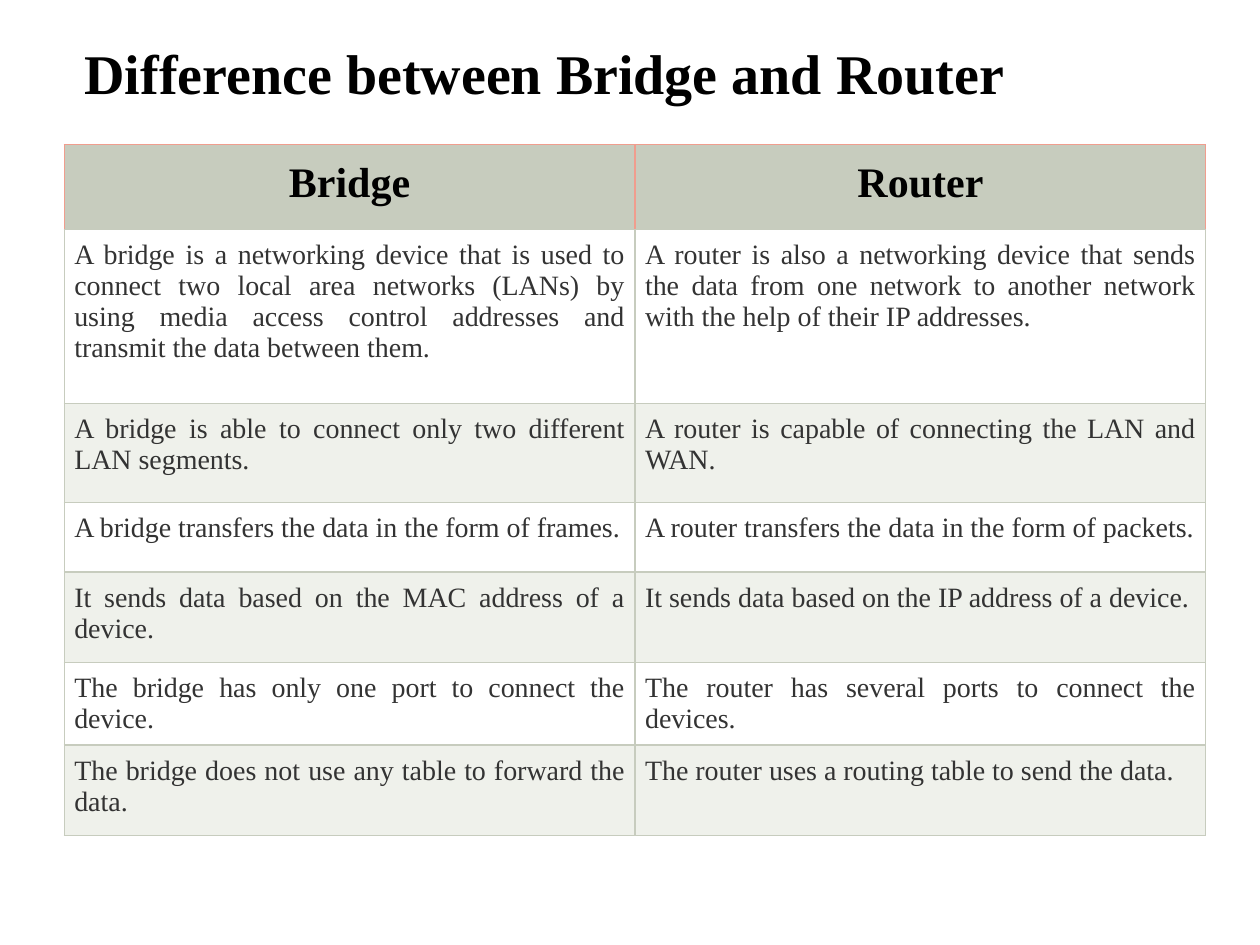
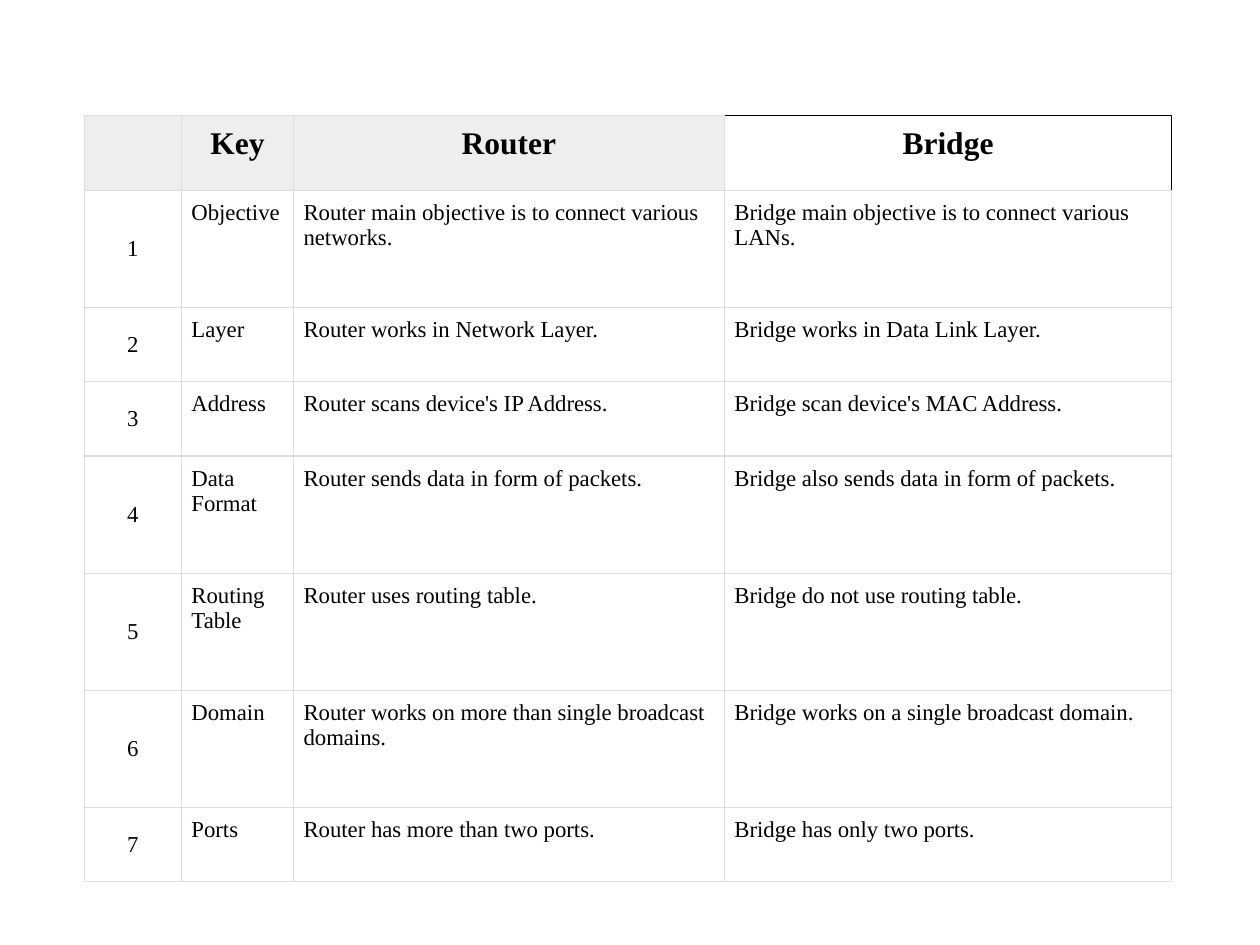
"""Build two slides of tables that compare bridges and routers."""
import pptx
import pptx.dml.color
import pptx.enum.text
import pptx.oxml
import pptx.oxml.ns
import pptx.util
from lxml import etree

Inches, Pt = pptx.util.Inches, pptx.util.Pt
RGBColor = pptx.dml.color.RGBColor
ALIGN, ANCHOR = pptx.enum.text.PP_ALIGN, pptx.enum.text.MSO_ANCHOR
qn = pptx.oxml.ns.qn

FONT = "Times New Roman"
BLACK = RGBColor(0x00, 0x00, 0x00)
WHITE = RGBColor(0xFF, 0xFF, 0xFF)
DARK_GREY = RGBColor(0x33, 0x33, 0x33)
SAGE = RGBColor(0xC7, 0xCC, 0xBE)
PALE_SAGE = RGBColor(0xEF, 0xF1, 0xEB)
CORAL = RGBColor(0xF0, 0x9D, 0x8E)
LINE_GREY = RGBColor(0xDD, 0xDD, 0xDD)
HEAD_GREY = RGBColor(0xEE, 0xEE, 0xEE)

DIFFERENCES = [
    ("Bridge", "Router"),
    ("A bridge is a networking device that is used to connect two local area networks (LANs) "
     "by using media access control addresses and transmit the data between them.",
     "A router is also a networking device that sends the data from one network to another "
     "network with the help of their IP addresses."),
    ("A bridge is able to connect only two different LAN segments.",
     "A router is capable of connecting the LAN and WAN."),
    ("A bridge transfers the data in the form of frames.",
     "A router transfers the data in the form of packets."),
    ("It sends data based on the MAC address of a device.",
     "It sends data based on the IP address of a device."),
    ("The bridge has only one port to connect the device.",
     "The router has several ports to connect the devices."),
    ("The bridge does not use any table to forward the data.",
     "The router uses a routing table to send the data."),
]
KEY_POINTS = [
    ("Objective", "Router main objective is to connect various networks.",
     "Bridge main objective is to connect various LANs."),
    ("Layer", "Router works in Network Layer.", "Bridge works in Data Link Layer."),
    ("Address", "Router scans device's IP Address.", "Bridge scan device's MAC Address."),
    ("Data Format", "Router sends data in form of packets.",
     "Bridge also sends data in form of packets."),
    ("Routing Table", "Router uses routing table.", "Bridge do not use routing table."),
    ("Domain", "Router works on more than single broadcast domains.",
     "Bridge works on a single broadcast domain."),
    ("Ports", "Router has more than two ports.", "Bridge has only two ports."),
]


def style_paragraph(p, size, color=BLACK, bold=False, align=ALIGN.LEFT):
    """Set the font and alignment of a paragraph."""
    p.alignment = align
    p.font.name, p.font.size, p.font.bold = FONT, Pt(size), bold
    p.font.color.rgb = color


def set_borders(cell, left, right, top, bottom, width=0.75):
    """Draw the four edges of a cell in the given colours."""
    tcPr = cell._tc.get_or_add_tcPr()
    for side, color in zip("LRTB", (left, right, top, bottom)):
        ln = etree.SubElement(tcPr, qn(f"a:ln{side}"), w=str(Pt(width)))
        fill = etree.SubElement(ln, qn("a:solidFill"))
        etree.SubElement(fill, qn("a:srgbClr"), val=str(color))


def fill_cell(cell, text, margin, fill=None, anchor=ANCHOR.TOP, **font):
    """Write one cell with its margins, fill and font."""
    cell.margin_left = cell.margin_right = Inches(margin)
    cell.margin_top = cell.margin_bottom = Inches(margin)
    cell.vertical_anchor = anchor
    if fill is None:
        cell.fill.background()
    else:
        cell.fill.solid()
        cell.fill.fore_color.rgb = fill
    p = cell.text_frame.paragraphs[0]
    p.text = text
    style_paragraph(p, **font)


def add_grid(s, left, top, col_widths, row_heights):
    """Add an unbanded table with the given columns and rows."""
    table = s.shapes.add_table(len(row_heights), len(col_widths), Inches(left), Inches(top),
                               Inches(sum(col_widths)), Inches(sum(row_heights))).table
    table.first_row = table.horz_banding = False
    for col, width in zip(table.columns, col_widths):
        col.width = Inches(width)
    for row, height in zip(table.rows, row_heights):
        row.height = Inches(height)
    return table


def add_title(s, text):
    """Place and format the slide title."""
    title = s.shapes.title
    title.left, title.top = Inches(0.35), Inches(0.21)
    title.width, title.height = Inches(7.95), Inches(0.79)
    tf = title.text_frame
    tf.text = text
    tf.vertical_anchor = ANCHOR.MIDDLE
    p = tf.paragraphs[0]
    p.line_spacing = 0.9
    style_paragraph(p, 32, bold=True, align=ALIGN.CENTER)


def add_differences(s):
    """Add the two-column table with shaded alternate rows."""
    table = add_grid(s, 0.51, 1.15, [4.53] * 2, [0.67, 1.38, 0.79, 0.55, 0.72, 0.55, 0.72])
    for i, row in enumerate(DIFFERENCES):
        for j, text in enumerate(row):
            cell = table.cell(i, j)
            if i == 0:
                set_borders(cell, CORAL, CORAL, CORAL, SAGE)
                fill_cell(cell, text, 0.12, SAGE, size=24, bold=True, align=ALIGN.CENTER)
            else:
                set_borders(cell, SAGE, SAGE, SAGE, SAGE)
                fill_cell(cell, text, 0.08, WHITE if i % 2 else PALE_SAGE,
                          size=16, color=DARK_GREY, align=ALIGN.JUSTIFY)


def add_key_points(s):
    """Add the numbered table of key points."""
    short, tall = 0.59, 0.93
    table = add_grid(s, 0.67, 0.92, [0.77, 0.89, 3.42, 3.55],
                     [short, tall, short, short, tall, tall, tall, short])
    for j, text in enumerate(("", "Key", "Router", "Bridge")):
        cell = table.cell(0, j)
        last = j == 3
        edge = BLACK if last else LINE_GREY
        set_borders(cell, LINE_GREY, edge, edge, LINE_GREY)
        fill_cell(cell, text, 0.08, None if last else HEAD_GREY,
                  size=18, bold=True, align=ALIGN.CENTER)
    for i, point in enumerate(KEY_POINTS, 1):
        for j, text in enumerate((str(i), *point)):
            cell = table.cell(i, j)
            set_borders(cell, LINE_GREY, LINE_GREY, LINE_GREY, LINE_GREY)
            fill_cell(cell, text, 0.08, size=13,
                      anchor=ANCHOR.TOP if j else ANCHOR.MIDDLE,
                      align=ALIGN.LEFT if j else ALIGN.CENTER)


def main():
    """Build and save the slides."""
    prs = pptx.Presentation()
    prs.slide_width, prs.slide_height = Inches(10), Inches(7.5)
    title_only, blank = prs.slide_layouts[5], prs.slide_layouts[6]

    s = prs.slides.add_slide(title_only)
    add_title(s, "Difference between Bridge and Router")
    add_differences(s)

    add_key_points(prs.slides.add_slide(blank))
    prs.save("out.pptx")


if __name__ == "__main__":
    main()
